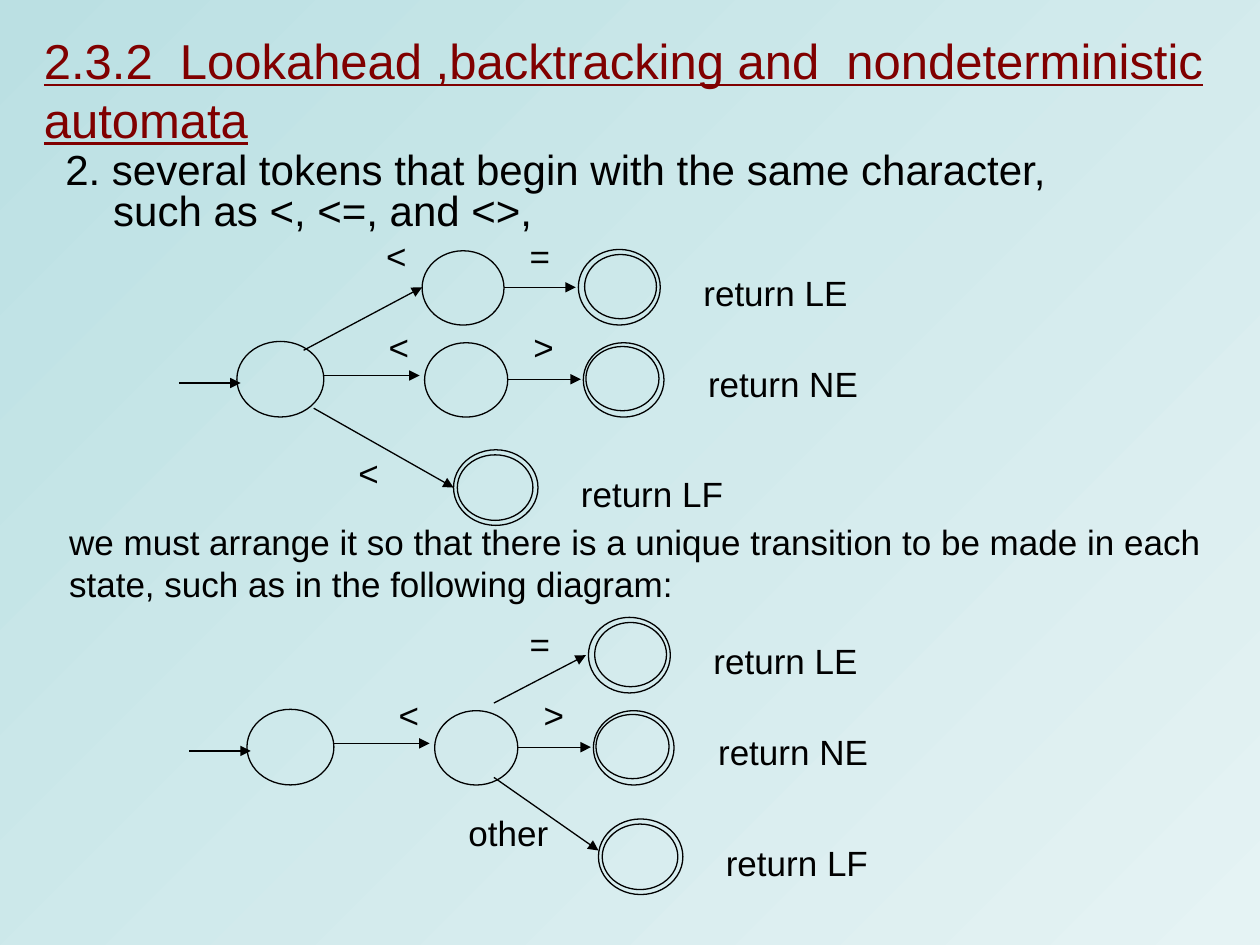
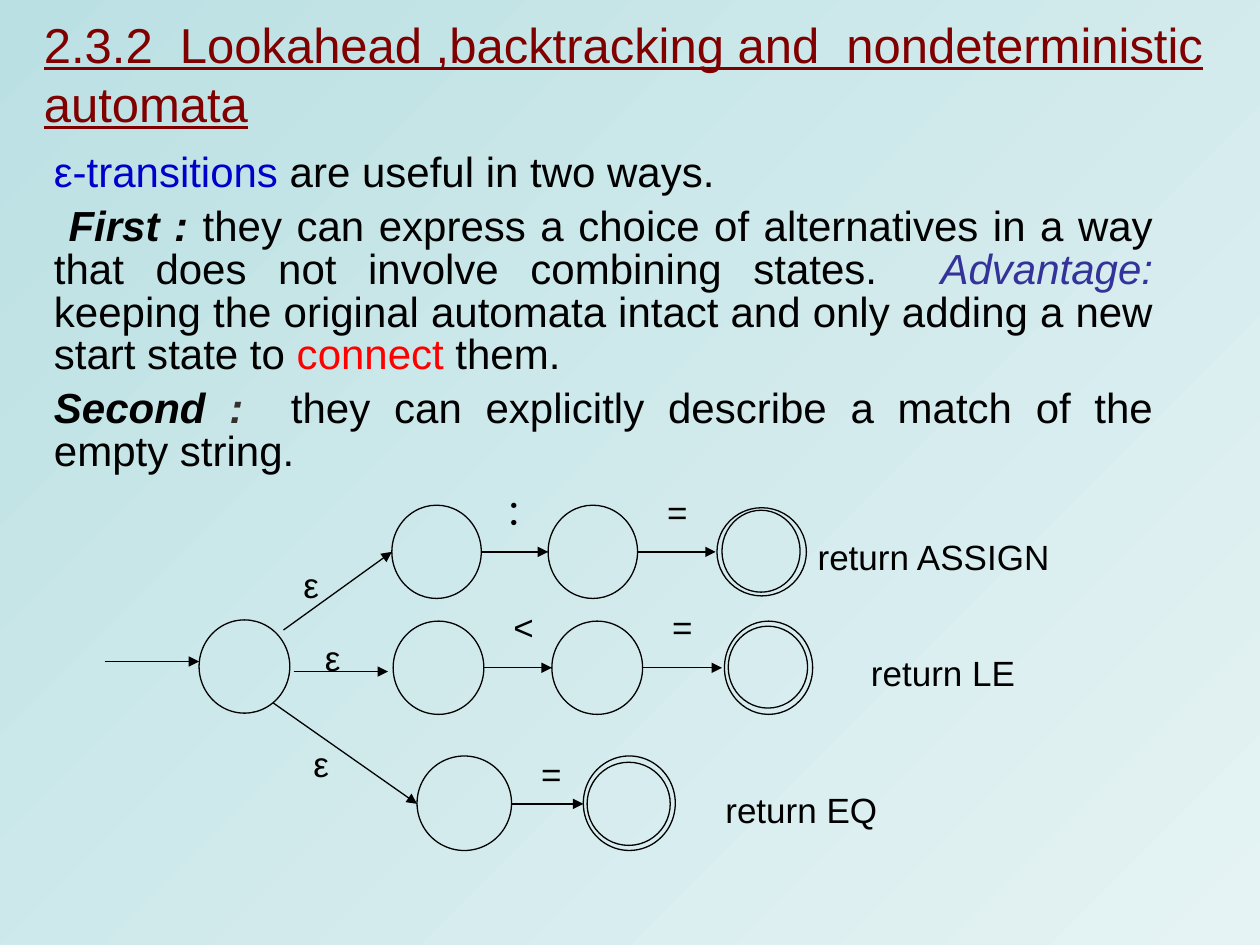
"""Build two slides on lookahead, backtracking and nondeterministic automata."""
from dataclasses import dataclass

from lxml import etree
from pptx import Presentation
from pptx import util as u
from pptx.dml.color import RGBColor
from pptx.enum import shapes, text
from pptx.oxml.ns import qn
from pptx.slide import Slide

PX = 9144
FONT = "Arial"
BLACK, MAROON, BLUE, INDIGO, RED, BROWN = (
    "000000", "800000", "0000CC", "333399", "FF0000", "35302B")
BACKDROP = ("BBE0E3", "E5F3F4")
HEADING = "2.3.2  Lookahead ,backtracking and  nondeterministic automata"
SYMBOL, RESULT = (41, 22), (157, 37)


def px(*lengths):
    """Turn px lengths into EMU."""
    return [u.Emu(length * PX) for length in lengths]


def color(hex_string):
    """Turn a hex string into a colour."""
    return RGBColor.from_string(hex_string)


def write(slide, content, box, size=20, ink=BLACK, underline=False, wrap=True,
          align=text.PP_ALIGN.LEFT, anchor=text.MSO_ANCHOR.TOP,
          spacing=None, before=0, hanging=0):
    """Write paragraphs, each a string or a list of (words, ink, emphasis) runs."""
    frame = slide.shapes.add_textbox(*px(*box)).text_frame
    frame.word_wrap = wrap
    frame.vertical_anchor = anchor
    for index, runs in enumerate(content):
        paragraph = frame.add_paragraph() if index else frame.paragraphs[0]
        paragraph.alignment = align
        paragraph.line_spacing = spacing
        paragraph.space_before = u.Pt(before)
        if hanging:
            indent, = px(hanging)
            properties = paragraph._p.get_or_add_pPr()
            properties.set("marL", str(indent))
            properties.set("indent", str(-indent))
        if isinstance(runs, str):
            runs = [(runs, ink, "")]
        for words, run_ink, emphasis in runs:
            run = paragraph.add_run()
            run.text = words
            font = run.font
            font.name, font.size, font.underline = FONT, u.Pt(size), underline
            font.color.rgb = color(run_ink)
            font.bold = "b" in emphasis
            font.italic = "i" in emphasis


def outline(line):
    """Give a line its ink and width."""
    line.color.rgb = color(BLACK)
    line.width = u.Pt(0.75)


@dataclass
class Automaton:
    """A state diagram drawn on a slide at an offset."""
    slide: Slide
    dx: int = 0
    dy: int = 0

    def state(self, left, top, width, height):
        """Draw one state circle."""
        circle = self.slide.shapes.add_shape(
            shapes.MSO_SHAPE.OVAL,
            *px(left + self.dx, top + self.dy, width, height))
        circle.shadow.inherit = False
        circle.fill.background()
        outline(circle.line)

    def accept(self, outer, inner):
        """Draw an accepting state as a double circle."""
        self.state(*outer)
        self.state(*inner)

    def arrow(self, x1, y1, x2, y2):
        """Draw a transition arrow."""
        transition = self.slide.shapes.add_connector(
            shapes.MSO_CONNECTOR.STRAIGHT,
            *px(x1 + self.dx, y1 + self.dy, x2 + self.dx, y2 + self.dy))
        outline(transition.line)
        etree.SubElement(transition.line._get_or_add_ln(),
                         qn("a:tailEnd"), type="triangle")
        etree.SubElement(transition._element.spPr, qn("a:effectLst"))

    def label(self, words, left, top, size=SYMBOL):
        """Write a centred label for a transition or a result."""
        write(self.slide, [words], (left + self.dx, top + self.dy, *size),
              wrap=False, align=text.PP_ALIGN.CENTER,
              anchor=text.MSO_ANCHOR.MIDDLE)


def add_slide(deck, title_top, title_height):
    """Add a slide with the shared heading."""
    slide = deck.slides.add_slide(deck.slide_layouts[6])
    write(slide, [HEADING], (25, title_top, 975, title_height), size=28,
          ink=MAROON, underline=True, anchor=text.MSO_ANCHOR.MIDDLE)
    return slide


def paint_backdrop(deck):
    """Lay the diagonal gradient behind every slide."""
    fill = deck.slide_master.background.fill
    fill.gradient()
    fill.gradient_angle = 315
    for stop, shade in zip(fill.gradient_stops, BACKDROP):
        stop.color.rgb = color(shade)


def comparison_automaton(slide, dx, dy, lf_left, lf_top):
    """Draw the parts that both comparison diagrams share."""
    diagram = Automaton(slide, dx, dy)
    diagram.arrow(142, 304, 191, 304)
    diagram.state(188, 271, 69, 60)
    diagram.arrow(256, 298, 333, 298)
    diagram.label("<", 296, 264)
    diagram.state(337, 272, 66, 59)
    diagram.arrow(403, 301, 461, 301)
    diagram.label(">", 411, 264)
    diagram.accept((459, 198, 65, 60), (464, 202, 57, 51))
    diagram.label("return LE", 537, 214, RESULT)
    diagram.accept((463, 272, 64, 59), (465, 275, 58, 51))
    diagram.label("return NE", 543, 286, RESULT)
    diagram.accept((lf_left, lf_top, 67, 60), (lf_left + 3, lf_top + 4, 60, 52))
    diagram.label("return LF", lf_left + 79, lf_top + 16, RESULT)


def token_row(diagram, top, width, height, lefts, symbols, end, lift):
    """Draw a chain of equal states whose last arrow stops at end."""
    middle = top + height // 2 + height % 2
    for left, target, symbol in zip(lefts, [*lefts[1:], end], symbols):
        diagram.state(left, top, width, height)
        diagram.arrow(left + width, middle, target, middle)
        diagram.label(symbol, left + width + 9, top - lift, (45, 28))


def unique_transition_slide(deck):
    """Build the slide that merges tokens with a common first character."""
    slide = add_slide(deck, 25, 92)
    write(slide, ["2. several tokens that begin with the same character, "
                  "such as <, <=, and <>,"],
          (42, 117, 850, 75), size=24, spacing=0.8, before=6, hanging=38)
    comparison_automaton(slide, 0, 0, 360, 357)
    separate = Automaton(slide)
    separate.arrow(241, 278, 335, 228)
    separate.label("<", 294, 192)
    separate.state(335, 199, 65, 59)
    separate.arrow(400, 228, 457, 228)
    separate.label("=", 408, 192)
    separate.arrow(249, 324, 360, 387)
    separate.label("<", 272, 364)

    write(slide, ["we must arrange it so that there is a unique transition to "
                  "be made in each state, such as in the following diagram:"],
          (45, 408, 955, 77), before=5)
    comparison_automaton(slide, 8, 292, 467, 358)
    merged = Automaton(slide)
    merged.arrow(392, 558, 465, 520)
    merged.label("=", 408, 500)
    merged.arrow(392, 617, 475, 675)
    merged.label("other", 353, 650, (101, 22))


def epsilon_slide(deck):
    """Build the slide on the two uses of ε-transitions."""
    slide = add_slide(deck, 33, 50)
    uses = [
        [("ε-transitions", BLUE, ""), (" are useful in two ways. ", BLACK, "")],
        [(" ", BLACK, ""), ("First :", BLACK, "bi"),
         (" they can express a choice of alternatives in a way that does not "
          "involve combining states.  ", BLACK, ""),
         ("Advantage:", INDIGO, "i"),
         (" keeping the original automata intact and only adding a new start "
          "state to ", BLACK, ""),
         ("connect", RED, ""), (" them. ", BLACK, "")],
        [("Second ", BLACK, "bi"), (":", BROWN, "bi"),
         ("  they can explicitly describe a match of the empty string. ",
          BLACK, "")],
    ]
    write(slide, uses, (33, 117, 892, 275), size=24, spacing=0.85, before=6,
          align=text.PP_ALIGN.JUSTIFY)

    diagram = Automaton(slide)
    diagram.arrow(83, 525, 158, 525)
    diagram.state(158, 492, 72, 74)
    choices = [((225, 500, 311, 438), (225, 450)),
               ((233, 533, 308, 533), (242, 508)),
               ((217, 558, 331, 638), (233, 592))]
    for ends, corner in choices:
        diagram.arrow(*ends)
        diagram.label("ε", *corner, (44, 28))

    token_row(diagram, 401, 71, 74, [311, 435], "：=", 568, 9)
    diagram.accept((569, 403, 71, 70), (573, 405, 62, 65))
    diagram.label("return ASSIGN", 631, 419, (220, 46))
    token_row(diagram, 493, 72, 74, [312, 438], "<=", 573, 10)
    diagram.accept((575, 493, 70, 74), (578, 497, 63, 65))
    diagram.label("return LE", 663, 511, (171, 46))
    token_row(diagram, 600, 75, 75, [331], "=", 463, 0)
    diagram.accept((463, 600, 73, 75), (466, 605, 66, 66))
    diagram.label("return EQ", 547, 619, (178, 47))


def main():
    """Build and save the deck."""
    deck = Presentation()
    deck.slide_width, deck.slide_height = px(1000, 750)
    paint_backdrop(deck)
    unique_transition_slide(deck)
    epsilon_slide(deck)
    deck.save("out.pptx")


if __name__ == "__main__":
    main()
